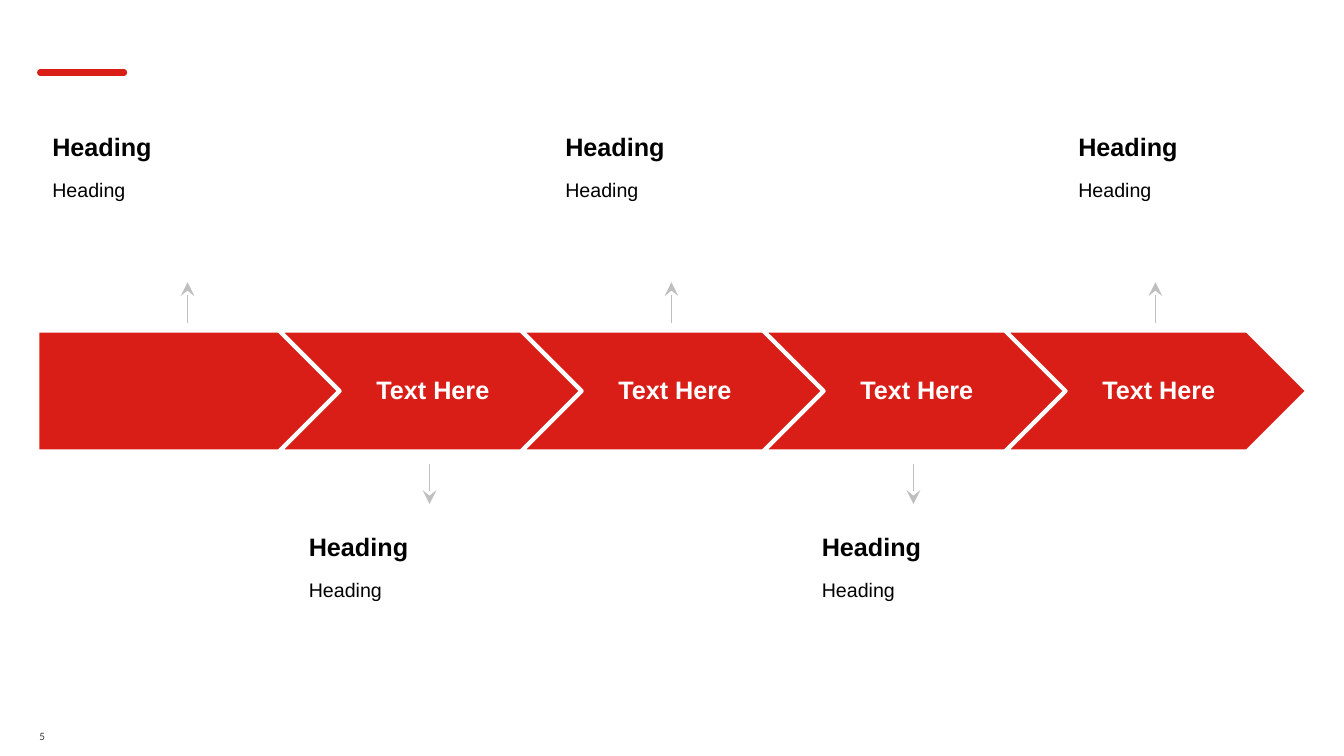
import pptx
import pptx.dml.color
import pptx.enum.shapes
import pptx.enum.text
import pptx.oxml
import pptx.oxml.ns
import pptx.util
import lxml.etree

RED = pptx.dml.color.RGBColor(0xD9, 0x1E, 0x18)
WHITE = pptx.dml.color.RGBColor(0xFF, 0xFF, 0xFF)
BLACK = pptx.dml.color.RGBColor(0x00, 0x00, 0x00)
GREY = pptx.dml.color.RGBColor(0xBF, 0xBF, 0xBF)
DARK = pptx.dml.color.RGBColor(0x3F, 0x3F, 0x3F)

KINDS = pptx.enum.shapes.MSO_SHAPE
ALIGN = pptx.enum.text.PP_ALIGN
ANCHOR = pptx.enum.text.MSO_ANCHOR


class Deck:
    """Draws styled elements on a slide whose grid has 0.3 inch columns and 0.1 inch rows."""

    font = "Arial"
    col = 0.3
    row = 0.1

    def __init__(self):
        self.file = pptx.Presentation()
        self.file.slide_width = pptx.util.Inches(13.33)
        self.file.slide_height = pptx.util.Inches(7.5)
        self.slide = self.file.slides.add_slide(self.file.slide_layouts[6])

    def cols(self, count):
        return pptx.util.Inches(count * self.col)

    def rows(self, count):
        return pptx.util.Inches(count * self.row)

    def box(self, x, y, wide, high):
        return self.cols(x), self.rows(y), self.cols(wide), self.rows(high)

    def words(self, frame, text, size, color, bold=False, font=None, space=0.9):
        frame.word_wrap = True
        para = frame.paragraphs[0]
        para.line_spacing = space
        run = para.add_run()
        run.text = text
        run.font.name = font or self.font
        run.font.size = pptx.util.Pt(size)
        run.font.bold = bold
        run.font.color.rgb = color
        return para

    def label(self, x, y, wide, high, text, size, color, **style):
        shape = self.slide.shapes.add_textbox(*self.box(x, y, wide, high))
        self.words(shape.text_frame, text, size, color, **style)

    def step(self, kind, x, y, wide, high, text):
        shape = self.slide.shapes.add_shape(kind, *self.box(x, y, wide, high))
        shape.shadow.inherit = False
        shape.adjustments[0] = 0.5
        shape.fill.solid()
        shape.fill.fore_color.rgb = RED
        shape.line.color.rgb = WHITE
        shape.line.width = pptx.util.Pt(3)
        if text:
            frame = shape.text_frame
            frame.margin_left = pptx.util.Inches(0.08)
            frame.margin_right = pptx.util.Inches(0.03)
            frame.vertical_anchor = ANCHOR.MIDDLE
            para = self.words(frame, text, 18, WHITE, bold=True)
            para.alignment = ALIGN.CENTER

    def line(self, start, end, color, width, cap=None, head=None):
        link = self.slide.shapes.add_connector(
            pptx.enum.shapes.MSO_CONNECTOR.STRAIGHT,
            self.cols(start[0]), self.rows(start[1]),
            self.cols(end[0]), self.rows(end[1]))
        link.line.color.rgb = color
        link.line.width = pptx.util.Pt(width)
        frame = link._element.spPr
        pen = frame.find(pptx.oxml.ns.qn("a:ln"))
        if cap:
            pen.set("cap", cap)
        if head:
            lxml.etree.SubElement(pen, pptx.oxml.ns.qn("a:tailEnd"),
                                  type=head, w="lg", len="lg")
        lxml.etree.SubElement(frame, pptx.oxml.ns.qn("a:effectLst"))

    def arrow(self, x, start, end):
        self.line((x, start), (x, end), GREY, 1, head="stealth")

    def note(self, x, y):
        self.label(x, y, 7.77, 3.5, "Heading", 18, BLACK, bold=True)
        self.label(x, y + 4.5, 7.77, 5.1, "Heading", 14, BLACK)

    def save(self):
        self.file.save("out.pptx")


def main():
    deck = Deck()
    deck.label(0.97, 71.9, 1.93, 2.3, "5", 8, DARK, font="Calibri", space=1.0)
    deck.line((1.33, 7.2), (4.1, 7.2), RED, 4.5, cap="rnd")

    steps = ["", "Text Here", "Text Here", "Text Here", "Text Here"]
    for i, text in enumerate(steps):
        kind = KINDS.CHEVRON if i else KINDS.PENTAGON
        deck.step(kind, 1.23 + 8 * i, 32.8, 10, 12, text)

    for i in range(len(steps)):
        above = i % 2 == 0
        start, end, top = (32, 28, 12.9) if above else (46, 50, 52.6)
        deck.arrow(6.2 + 8 * i, start, end)
        deck.note(1.4 + 8.48 * i, top)

    deck.save()


if __name__ == "__main__":
    main()
